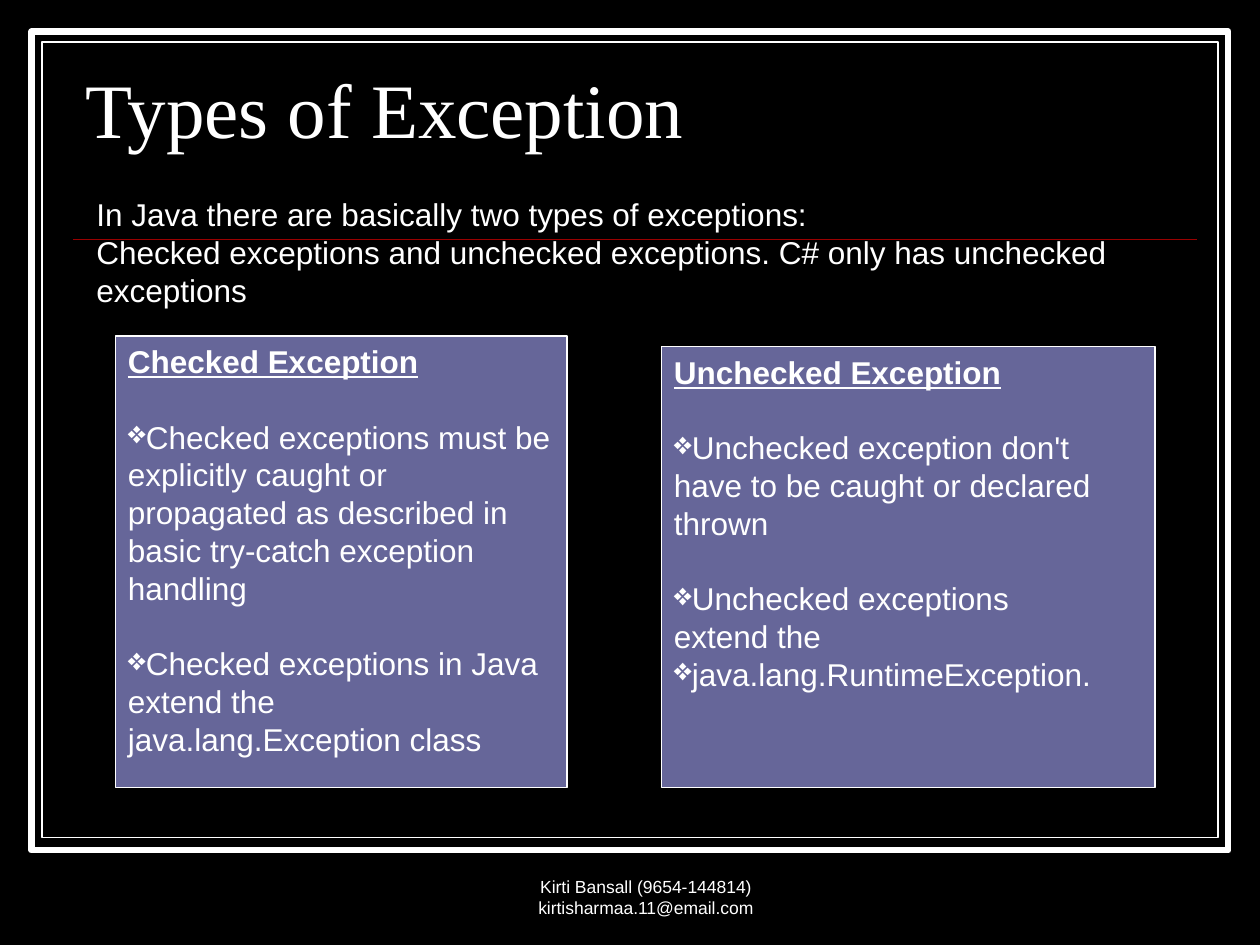
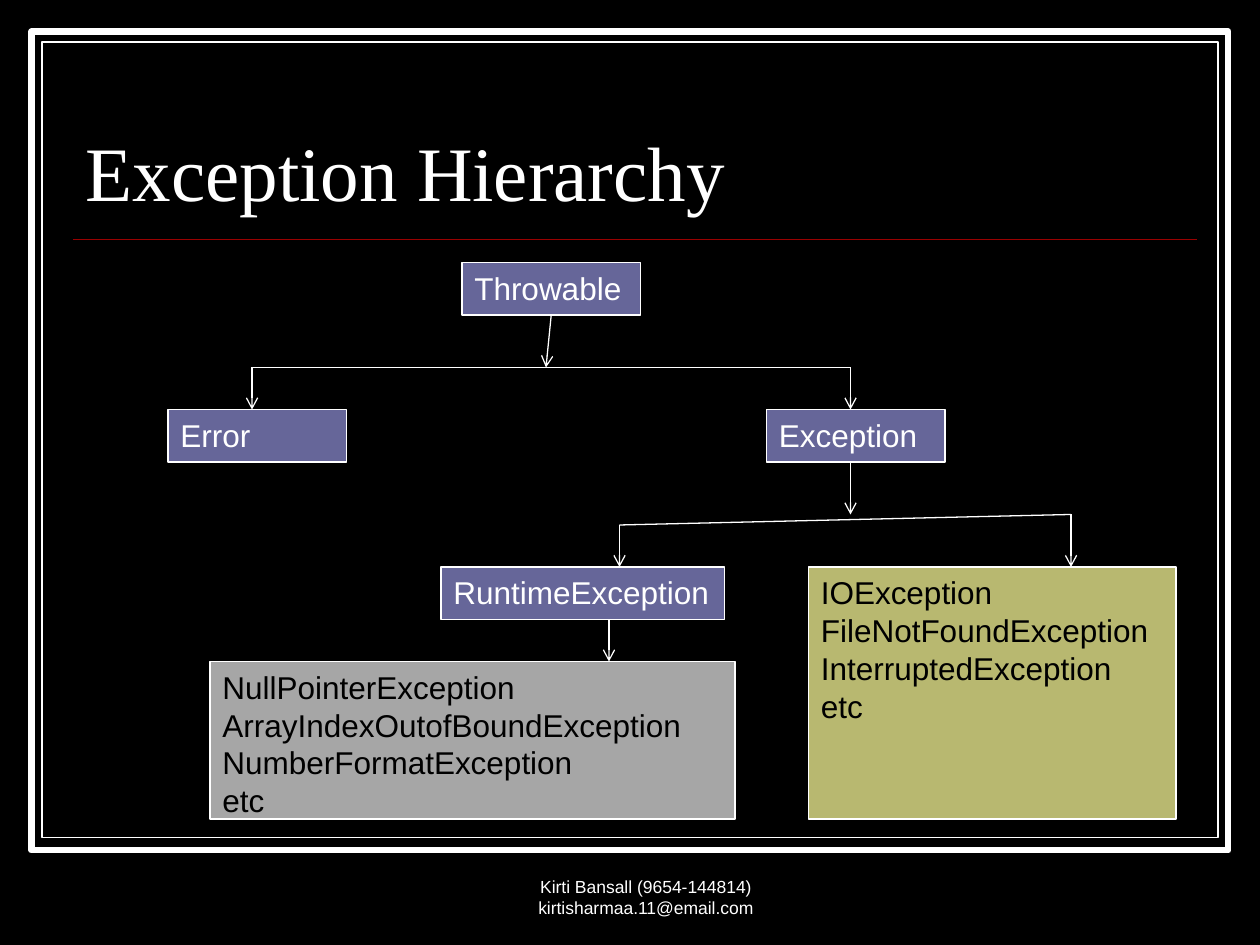
from lxml.etree import SubElement
from pptx import Presentation
from pptx.dml.color import RGBColor
from pptx.enum.shapes import MSO_CONNECTOR, MSO_SHAPE
from pptx.enum.text import MSO_ANCHOR, PP_ALIGN
from pptx.oxml.ns import qn
from pptx.util import Pt

PX = 7620  # 120 px to the inch
BLACK, WHITE, RED = "000000", "FFFFFF", "990000"
VIOLET, OLIVE, GREY = "666699", "B8B870", "A6A6A6"
color = RGBColor.from_string


def add_box(slide, at, lines, fill=None, ink=WHITE, size=18, font="Arial",
            anchor=MSO_ANCHOR.TOP, align=PP_ALIGN.LEFT, border=0.75):
    """Add a filled rectangle, or a plain text box when there is no fill."""
    place = [n * PX for n in at]
    if fill:
        box = slide.shapes.add_shape(MSO_SHAPE.RECTANGLE, *place)
        box.shadow.inherit = False
        box.fill.solid()
        box.fill.fore_color.rgb = color(fill)
        box.line.color.rgb = color(WHITE)
        box.line.width = Pt(border)
    else:
        box = slide.shapes.add_textbox(*place)
    frame = box.text_frame
    frame.word_wrap = True
    frame.vertical_anchor = anchor
    for i, line in enumerate(lines):
        paragraph = frame.add_paragraph() if i else frame.paragraphs[0]
        paragraph.alignment = align
        for j, part in enumerate(line.split("\n")):
            if j:
                paragraph.add_line_break()
            run = paragraph.add_run()
            run.text = part
            run.font.size = Pt(size)
            run.font.name = font
            run.font.color.rgb = color(ink)
    return box


def add_line(slide, ends, ink=WHITE, width=0.75, arrow=False):
    line = slide.shapes.add_connector(MSO_CONNECTOR.STRAIGHT, *[n * PX for n in ends])
    line.line.color.rgb = color(ink)
    line.line.width = Pt(width)
    if arrow:
        SubElement(line.line._get_or_add_ln(), qn("a:tailEnd"), type="arrow")
    SubElement(line._element.spPr, qn("a:effectLst"))
    return line


prs = Presentation()
prs.slide_width, prs.slide_height = 1200 * PX, 900 * PX

# Shared frame, rule, title and footer
slides = []
for title, title_top, title_height in [("Types of Exception", 50, 102),
                                       ("Exception Hierarchy", 62, 150)]:
    slide = prs.slides.add_slide(prs.slide_layouts[6])
    slide.background.fill.solid()
    slide.background.fill.fore_color.rgb = color(BLACK)
    add_box(slide, (30, 30, 1140, 780), [], BLACK, border=3.5)
    add_box(slide, (40, 40, 1120, 758), [], BLACK)
    add_line(slide, (70, 228, 1140, 228), RED, 1)
    heading = add_box(slide, (70, title_top, 1070, title_height), [title], size=44,
                      font="Times New Roman", anchor=MSO_ANCHOR.BOTTOM)
    heading.text_frame.paragraphs[0].line_spacing = 0.8
    add_box(slide, (425, 820, 380, 60),
            ["Kirti Bansall (9654-144814) kirtisharmaa.11@email.com"],
            size=10, anchor=MSO_ANCHOR.BOTTOM, align=PP_ALIGN.CENTER)
    slides.append(slide)
types, hierarchy = slides

# Types: a heading and bullets in each panel
panels = [
    ((110, 320, 430, 430), [
        "Checked Exception",
        "Checked exceptions must be explicitly caught or propagated as described in\u00a0 "
        "basic try-catch exception handling",
        "Checked exceptions in Java extend the java.lang.Exception class"]),
    ((630, 330, 470, 420), [
        "Unchecked Exception",
        "Unchecked exception don't have to be caught or declared thrown",
        "Unchecked exceptions \nextend the",
        "java.lang.RuntimeException."]),
]
for at, lines in panels:
    panel = add_box(types, at, lines, VIOLET)
    panel_heading, *points = panel.text_frame.paragraphs
    panel_heading.runs[0].font.bold = True
    panel_heading.runs[0].font.underline = True
    for i, point in enumerate(points):
        SubElement(point._p.get_or_add_pPr(), qn("a:buChar"), char="❖")
        if i < 2:
            point.space_before = Pt(21.5)

add_box(types, (80, 180, 1050, 121), [
    "In Java there are basically two types of exceptions:",
    "Checked exceptions and unchecked exceptions. C# only has unchecked exceptions"])

# Hierarchy: single classes
classes = {}
for name, left, top, width in [("Throwable", 440, 250, 170), ("Error", 160, 390, 170),
                               ("Exception", 730, 390, 170),
                               ("RuntimeException", 420, 540, 270)]:
    classes[name] = add_box(hierarchy, (left, top, width, 50), [name], VIOLET)

# Hierarchy: lists of subclasses
add_box(hierarchy, (770, 540, 350, 240),
        ["IOException", "FileNotFoundException", "InterruptedException", "etc"], OLIVE, BLACK)
add_box(hierarchy, (200, 630, 500, 150),
        ["NullPointerException", "ArrayIndexOutofBoundException",
         "NumberFormatException", "etc"], GREY, BLACK)

# Hierarchy: branches, then arrows
for branch in [(240, 350, 810, 350), (590, 500, 1020, 490)]:
    add_line(hierarchy, branch)
for x, top, bottom in [(240, 350, 390), (810, 350, 390), (810, 440, 490),
                       (590, 500, 540), (1020, 490, 540), (580, 590, 630)]:
    add_line(hierarchy, (x, top, x, bottom), arrow=True)
from_throwable = add_line(hierarchy, (525, 300, 520, 350), arrow=True)
from_throwable.begin_connect(classes["Throwable"], 2)

prs.save("out.pptx")
